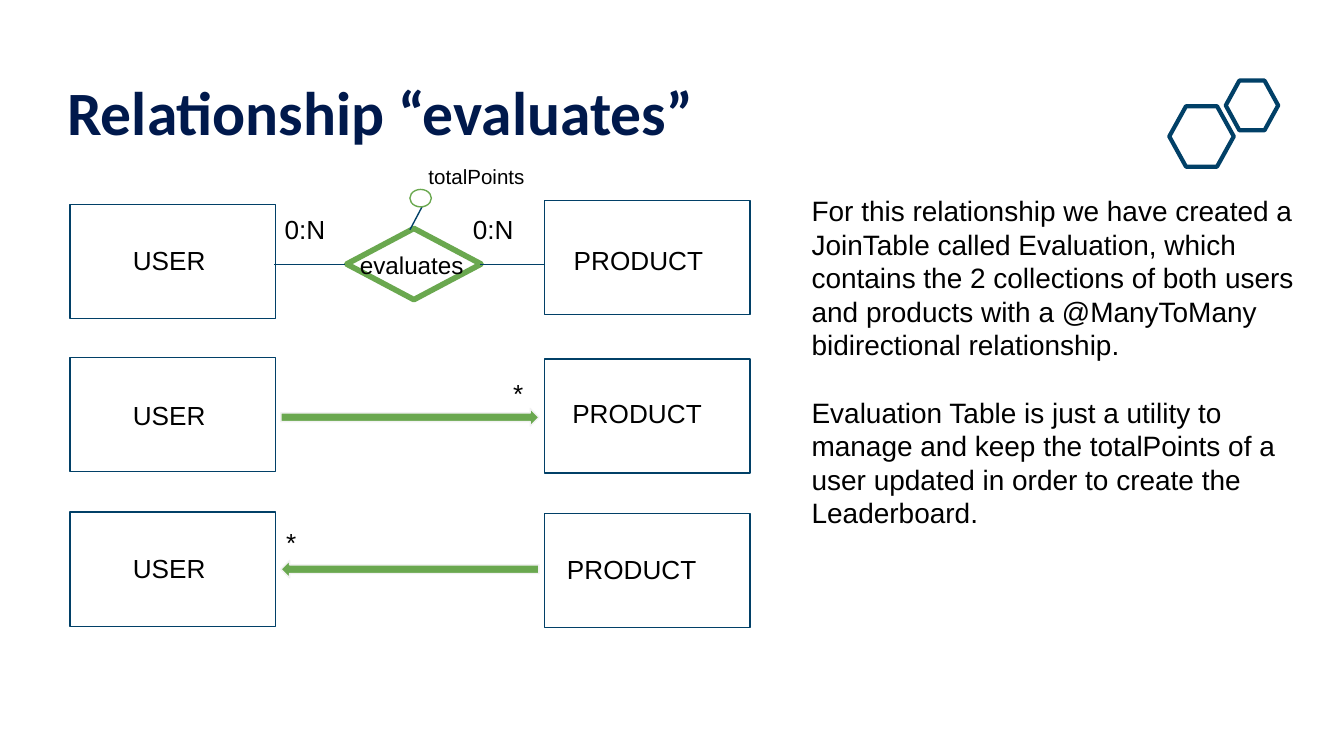
from lxml import etree
from pptx import Presentation
from pptx.dml.color import RGBColor
from pptx.enum.shapes import MSO_CONNECTOR, MSO_SHAPE
from pptx.enum.text import MSO_ANCHOR, MSO_AUTO_SIZE, PP_ALIGN
from pptx.oxml.ns import qn
from pptx.util import Inches, Pt

COLORS = {
    "white": "FFFFFF",
    "title": "00194C",
    "text": "000000",
    "outline": "014067",
    "green": "6AA84F",
    "arrow_edge": "F2F2F2",
}

TITLE = "Relationship “evaluates”"
EXPLANATION = [
    "For this relationship we have created a JoinTable called Evaluation, which "
    "contains the 2 collections of both users and products with a @ManyToMany "
    "bidirectional relationship.",
    "Evaluation Table is just a utility to manage and keep the totalPoints of a "
    "user updated in order to create the Leaderboard.",
]

ENTITY_SIZE = (1.53, 0.85)
ENTITIES = [
    ("USER", (0.52, 1.52), (0.89, 1.72, 0.78, 0.44)),
    ("PRODUCT", (4.05, 1.49), (4.17, 1.72, 1.29, 0.44)),
    ("USER", (0.52, 2.66), (0.89, 2.87, 0.78, 0.44)),
    ("PRODUCT", (4.05, 2.67), (4.16, 2.86, 1.29, 0.44)),
    ("USER", (0.52, 3.81), (0.89, 4.01, 0.78, 0.44)),
    ("PRODUCT", (4.05, 3.82), (4.12, 4.02, 1.34, 0.44)),
]
ARROWS = [(3.04, 0), (4.17, 180)]
LABELS = [
    ("evaluates", (2.58, 1.76, 1.1, 0.42), 13),
    ("0:N", (2.02, 1.49, 0.57, 0.44), 14),
    ("0:N", (3.42, 1.49, 0.57, 0.44), 14),
    ("*", (3.72, 2.71, 0.45, 0.44), 14),
    ("*", (2.03, 3.82, 0.45, 0.44), 14),
    ("totalPoints", (3.09, 1.13, 1.23, 0.39), 11),
]
LINKS = [
    ((2.04, 1.97), (2.57, 1.97)),
    ((3.57, 1.97), (4.05, 1.97)),
    ((3.05, 1.71), (3.14, 1.54)),
]
HEXAGONS = [(8.7, 0.79, 0.48, 0.45), (9.12, 0.6, 0.39, 0.37)]
HEXAGON_CORNERS = [(0, 0.5), (0.26, 0), (0.74, 0), (1, 0.5), (0.74, 1), (0.26, 1)]


def color(name):
    return RGBColor.from_string(COLORS[name])


def inches(values):
    return [Inches(value) for value in values]


def style_text(text_frame, size, font_name="Arial", color_name="text", bold=False):
    for paragraph in text_frame.paragraphs:
        paragraph.alignment = PP_ALIGN.LEFT
        for run in paragraph.runs:
            run.font.size = Pt(size)
            run.font.name = font_name
            run.font.bold = bold
            run.font.color.rgb = color(color_name)


def set_margins(text_frame, left, top, right, bottom):
    text_frame.margin_left = Inches(left)
    text_frame.margin_top = Inches(top)
    text_frame.margin_right = Inches(right)
    text_frame.margin_bottom = Inches(bottom)


def add_text(slide, paragraphs, box, size):
    text_frame = slide.shapes.add_textbox(*inches(box)).text_frame
    text_frame.word_wrap = True
    set_margins(text_frame, 0.1, 0.1, 0.1, 0.1)
    text_frame.text = "\n".join(paragraphs)
    style_text(text_frame, size)
    return text_frame


def add_figure(slide, kind, box, fill="white", line="outline", width=0.75):
    shape = slide.shapes.add_shape(kind, *inches(box))
    shape.shadow.inherit = False
    shape.fill.solid()
    shape.fill.fore_color.rgb = color(fill)
    shape.line.color.rgb = color(line)
    shape.line.width = Pt(width)
    return shape


def add_link(slide, start, end):
    connector = slide.shapes.add_connector(
        MSO_CONNECTOR.STRAIGHT, *inches(start + end)
    )
    connector.line.color.rgb = color("outline")
    connector.line.width = Pt(0.75)
    properties = connector._element.find(qn("p:spPr"))
    etree.SubElement(properties, qn("a:effectLst"))


def add_hexagon(group, box):
    left, top, width, height = box
    points = [
        inches((left + x * width, top + y * height)) for x, y in HEXAGON_CORNERS
    ]
    builder = group.shapes.build_freeform(*points[0])
    builder.add_line_segments(points[1:], close=True)
    hexagon = builder.convert_to_shape()
    hexagon.shadow.inherit = False
    hexagon.fill.background()
    hexagon.line.color.rgb = color("outline")
    hexagon.line.width = Pt(2.25)
    properties = hexagon._element.find(qn("p:spPr"))
    etree.SubElement(properties.find(qn("a:ln")), qn("a:round"))


def add_title(slide):
    title = slide.shapes.title
    title.left, title.top, title.width, title.height = inches((0.43, 0.17, 8.89, 0.94))
    text_frame = title.text_frame
    text_frame.text = TITLE
    text_frame.auto_size = MSO_AUTO_SIZE.NONE
    text_frame.vertical_anchor = MSO_ANCHOR.BOTTOM
    set_margins(text_frame, 0.07, 0.04, 0.07, 0)
    text_frame.paragraphs[0].line_spacing = 0.9
    style_text(text_frame, 33, "Calibri", "title", True)


def main():
    presentation = Presentation()
    presentation.slide_width = Inches(10)
    presentation.slide_height = presentation.slide_width * 9 // 16
    slide = presentation.slides.add_slide(presentation.slide_layouts[5])
    add_title(slide)

    add_figure(slide, MSO_SHAPE.DIAMOND, (2.58, 1.7, 1, 0.53), line="green", width=3)
    for name, position, label_box in ENTITIES:
        add_figure(slide, MSO_SHAPE.RECTANGLE, position + ENTITY_SIZE)
        add_text(slide, [name], label_box, 14)
    for top, rotation in ARROWS:
        arrow = add_figure(
            slide, MSO_SHAPE.RIGHT_ARROW, (2.09, top, 1.92, 0.13), "green", "arrow_edge"
        )
        arrow.rotation = rotation
    for start, end in LINKS:
        add_link(slide, start, end)
    add_figure(slide, MSO_SHAPE.OVAL, (3.05, 1.41, 0.16, 0.13), line="green")
    for text, box, size in LABELS:
        add_text(slide, [text], box, size)

    explanation = add_text(slide, EXPLANATION, (5.94, 1.34, 3.95, 3.22), 15)
    explanation.paragraphs[1].space_before = Pt(18)

    group = slide.shapes.add_group_shape()
    for box in HEXAGONS:
        add_hexagon(group, box)

    presentation.save("out.pptx")


if __name__ == "__main__":
    main()
